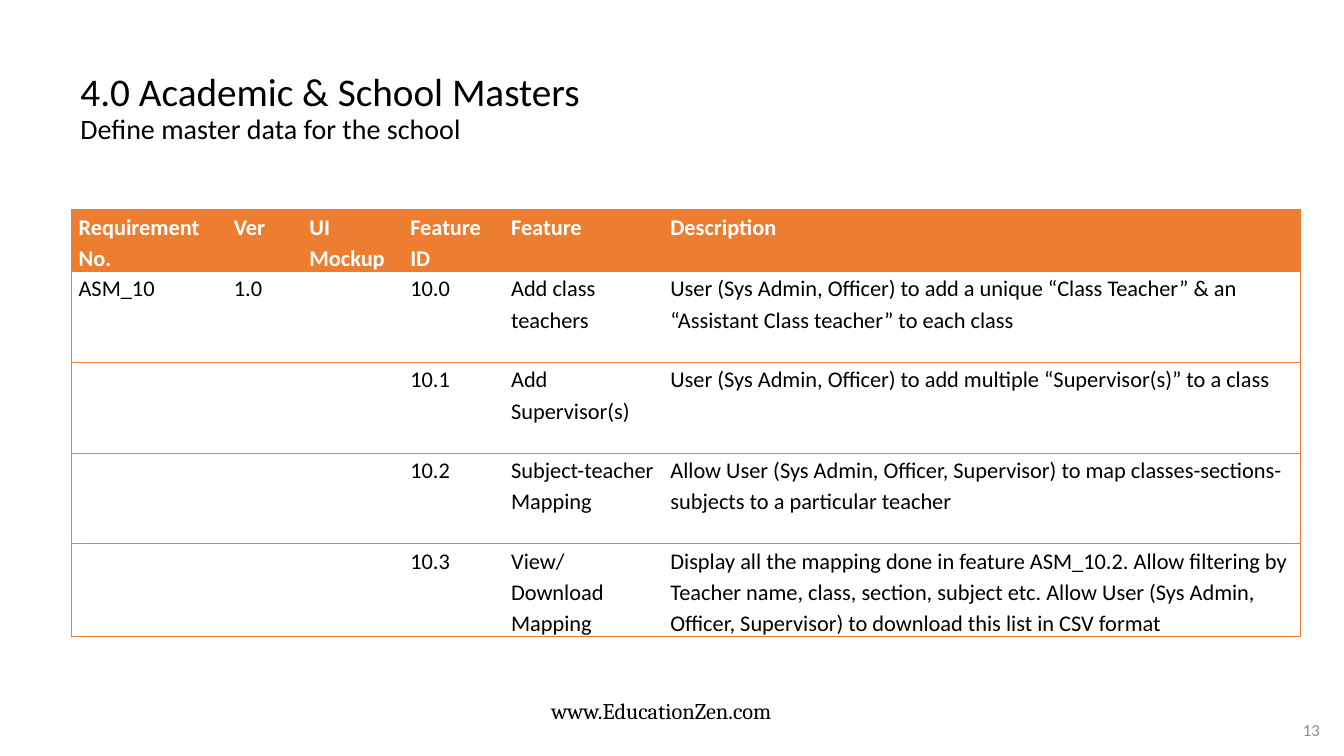
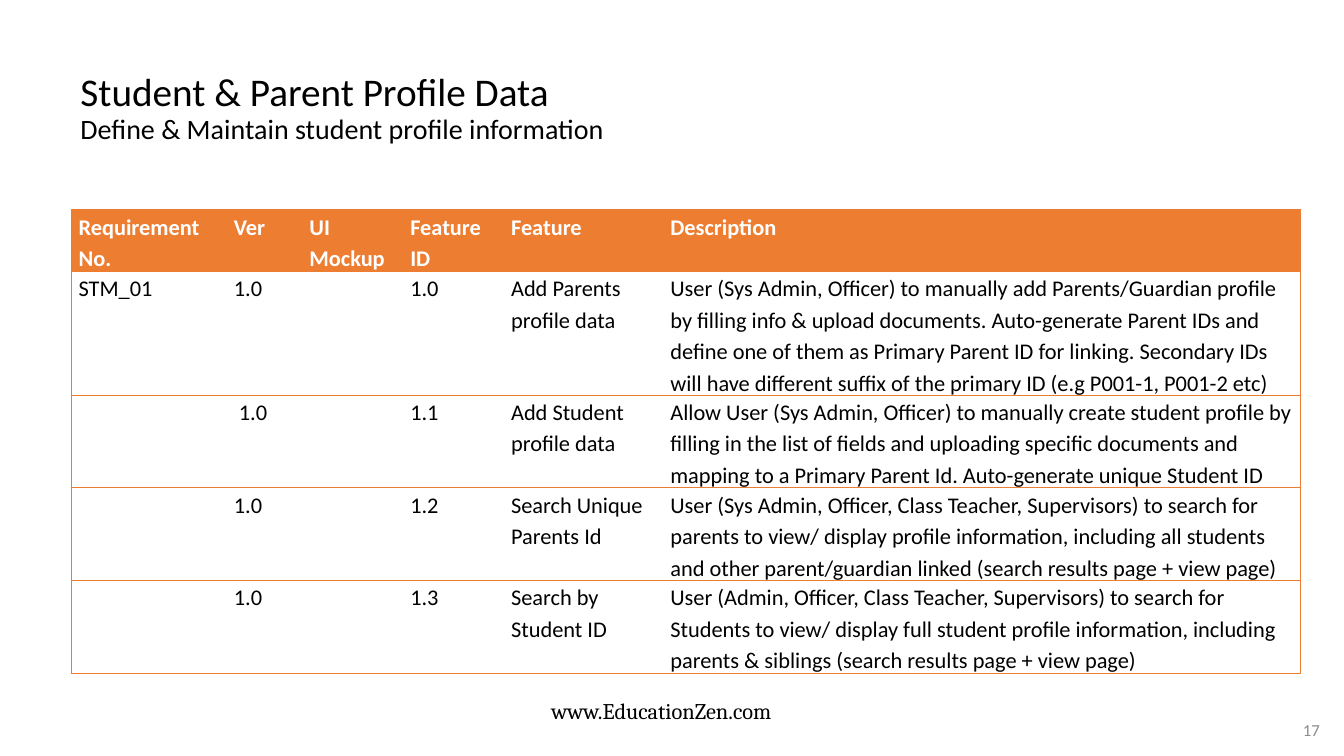
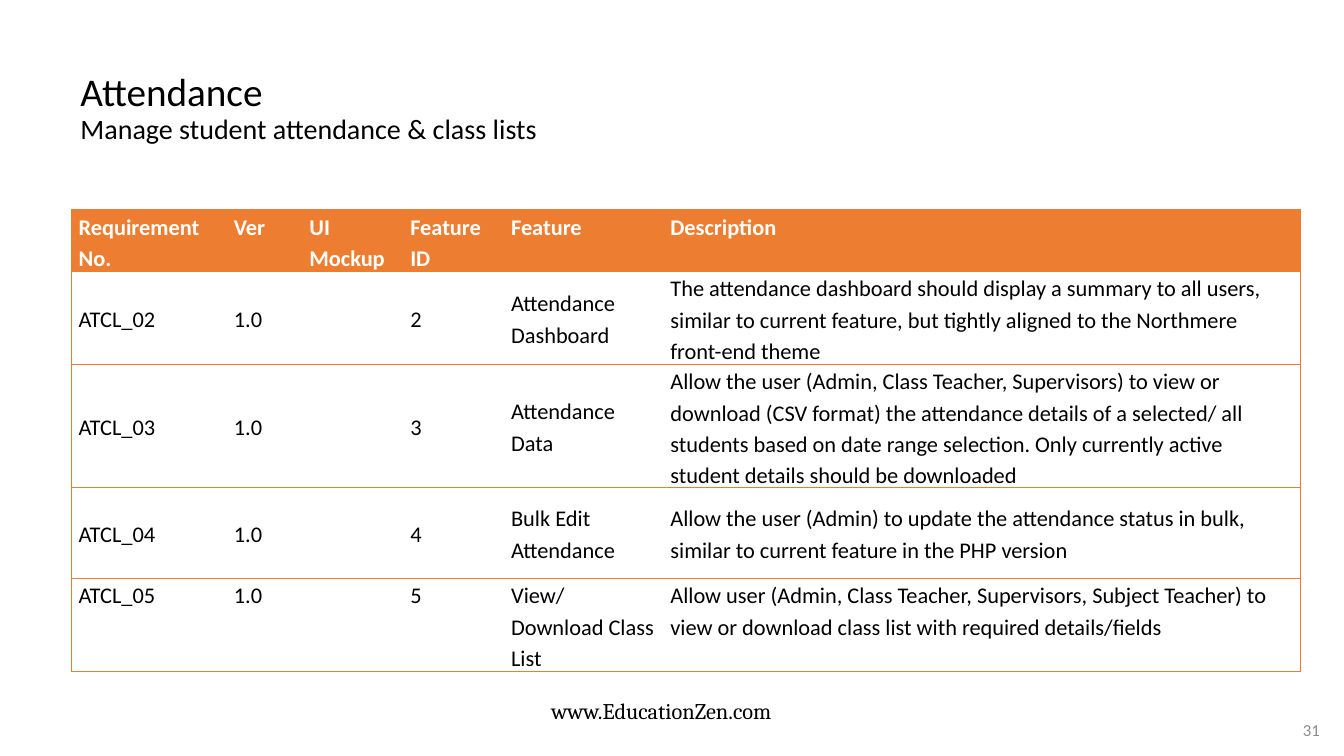
import pptx
import pptx.util
import pptx.dml.color
import pptx.enum.text
import pptx.oxml
import pptx.oxml.ns
import lxml.etree

Inches, Pt = pptx.util.Inches, pptx.util.Pt
Align, Anchor = pptx.enum.text.PP_ALIGN, pptx.enum.text.MSO_ANCHOR

theme = {
    "accent": "ED7D31",
    "rule": Pt(0.5),
    "title": {"name": "Calibri", "size": Pt(28), "color": "000000"},
    "subtitle": {"name": "Calibri", "size": Pt(20), "color": "000000"},
    "header": {"name": "Calibri", "size": Pt(16), "color": "FFFFFF", "bold": True},
    "body": {"name": "Calibri", "size": Pt(16), "color": "000000", "bold": False},
    "site": {"name": "Cambria", "size": Pt(16), "color": "000000"},
    "page": {"name": "Calibri", "size": Pt(12), "color": "8C8C8C"},
}

columns = {
    "Requirement No.": 1.54, "Ver": 0.75, "UI Mockup": 1,
    "Feature ID": 1, "Feature": 1.58, "Description": 6.32,
}
row_heights = [0.57] + [0.9] * 4
cell_format = {
    "margin_left": Inches(0.07), "margin_right": Inches(0.07),
    "margin_top": 0, "margin_bottom": 0,
}

sections = [
    {
        "title": "4.0 Academic & School Masters",
        "subtitle": "Define master data for the school",
        "page": "13",
        "middle_rows": 0,
        "rows": [
            ("ASM_10", "1.0", "", "10.0", "Add class teachers",
             "User (Sys Admin, Officer) to add a unique “Class Teacher” & an "
             "“Assistant Class teacher” to each class"),
            ("", "", "", "10.1", "Add Supervisor(s)",
             "User (Sys Admin, Officer) to add multiple “Supervisor(s)” to a class"),
            ("", "", "", "10.2", "Subject-teacher Mapping",
             "Allow User (Sys Admin, Officer, Supervisor) to map "
             "classes-sections-subjects to a particular teacher"),
            ("", "", "", "10.3", "View/Download Mapping",
             "Display all the mapping done in feature ASM_10.2. Allow filtering by "
             "Teacher name, class, section, subject etc. Allow User (Sys Admin, "
             "Officer, Supervisor) to download this list in CSV format"),
        ],
    },
    {
        "title": "Student & Parent Profile Data",
        "subtitle": "Define & Maintain student profile information",
        "page": "17",
        "middle_rows": 0,
        "rows": [
            ("STM_01", "1.0", "", "1.0", "Add Parents profile data",
             "User (Sys Admin, Officer) to manually add Parents/Guardian profile by "
             "filling info & upload documents. Auto-generate Parent IDs and define "
             "one of them as Primary Parent ID for linking. Secondary IDs will have "
             "different suffix of the primary ID (e.g P001-1, P001-2 etc)"),
            ("", " 1.0", "", "1.1", "Add Student profile data",
             "Allow User (Sys Admin, Officer) to manually create student profile by "
             "filling in the list of fields and uploading specific documents and "
             "mapping to a Primary Parent Id. Auto-generate unique Student ID"),
            ("", "1.0", "", "1.2", "Search Unique Parents Id",
             "User (Sys Admin, Officer, Class Teacher, Supervisors) to search for "
             "parents to view/ display profile information, including all students "
             "and other parent/guardian linked (search results page + view page)"),
            ("", "1.0", "", "1.3", "Search by Student ID",
             "User (Admin, Officer, Class Teacher, Supervisors) to search for "
             "Students to view/ display full student profile information, including "
             "parents & siblings (search results page + view page)"),
        ],
    },
    {
        "title": "Attendance",
        "subtitle": "Manage student attendance & class lists",
        "page": "31",
        "middle_rows": 3,
        "rows": [
            ("ATCL_02", "1.0", "", "2", "Attendance Dashboard",
             "The attendance dashboard should display a summary to all users, "
             "similar to current feature, but tightly aligned to the Northmere "
             "front-end theme"),
            ("ATCL_03", "1.0", "", "3", "Attendance Data",
             "Allow the user (Admin, Class Teacher, Supervisors) to view or download "
             "(CSV format) the attendance details of a selected/ all students based "
             "on date range selection. Only currently active student details should "
             "be downloaded"),
            ("ATCL_04", "1.0", "", "4", "Bulk Edit Attendance",
             "Allow the user (Admin) to update the attendance status in bulk, "
             "similar to current feature in the PHP version"),
            ("ATCL_05", "1.0", "", "5", "View/Download Class List",
             "Allow user (Admin, Class Teacher, Supervisors, Subject Teacher) to "
             "view or download class list with required details/fields"),
        ],
    },
]


def add_run(paragraph, text, style):
    run = paragraph.add_run()
    run.text = text
    for key, value in style.items():
        if key == "color":
            run.font.color.rgb = pptx.dml.color.RGBColor.from_string(value)
        else:
            setattr(run.font, key, value)


def add_border(cell, side, visible):
    line = lxml.etree.SubElement(
        cell._tc.get_or_add_tcPr(), pptx.oxml.ns.qn("a:ln" + side), w=str(theme["rule"]))
    if visible:
        fill = lxml.etree.SubElement(line, pptx.oxml.ns.qn("a:solidFill"))
        lxml.etree.SubElement(fill, pptx.oxml.ns.qn("a:srgbClr"), val=theme["accent"])
    else:
        lxml.etree.SubElement(line, pptx.oxml.ns.qn("a:noFill"))


deck = pptx.Presentation()
deck.slide_width, deck.slide_height = Inches(13.33), Inches(7.5)

for section in sections:
    slide = deck.slides.add_slide(deck.slide_layouts[6])

    # Site address and page number
    site = slide.shapes.add_textbox(Inches(4.75), Inches(6.87), Inches(3), Inches(0.37))
    site.text_frame.word_wrap = True
    site_line = site.text_frame.paragraphs[0]
    site_line.alignment = Align.RIGHT
    add_run(site_line, "www.EducationZen.com", theme["site"])

    page = slide.shapes.add_textbox(Inches(10.04), Inches(7.04), Inches(3.25), Inches(0.4))
    page.text_frame.word_wrap = True
    page.text_frame.vertical_anchor = Anchor.MIDDLE
    page_line = page.text_frame.paragraphs[0]
    page_line.alignment = Align.CENTER
    page_line._p.get_or_add_pPr().set("marL", str(Inches(2.68)))
    add_run(page_line, section["page"], theme["page"])

    # Title with subtitle
    heading = slide.shapes.add_textbox(Inches(0.7), Inches(0.42), Inches(10.96), Inches(1.33))
    heading.text_frame.word_wrap = True
    heading.text_frame.vertical_anchor = Anchor.MIDDLE
    heading_line = heading.text_frame.paragraphs[0]
    heading_line.line_spacing = 0.9
    add_run(heading_line, section["title"], theme["title"])
    heading_line.add_line_break()
    add_run(heading_line, section["subtitle"], theme["subtitle"])

    # Requirements table
    rows = [tuple(columns)] + section["rows"]
    requirements = slide.shapes.add_table(
        len(rows), len(columns), Inches(0.71), Inches(2.08),
        Inches(sum(columns.values())), Inches(sum(row_heights))).table
    requirements.horz_banding = False
    for column, width in zip(requirements.columns, columns.values()):
        column.width = Inches(width)
    for row, height in zip(requirements.rows, row_heights):
        row.height = Inches(height)

    for r, texts in enumerate(rows):
        for c, text in enumerate(texts):
            cell = requirements.cell(r, c)
            for key, value in cell_format.items():
                setattr(cell, key, value)
            if 1 <= r <= section["middle_rows"]:
                cell.vertical_anchor = Anchor.MIDDLE
            add_border(cell, "L", c == 0)
            add_border(cell, "R", c == len(columns) - 1)
            add_border(cell, "T", True)
            add_border(cell, "B", True)
            if r == 0:
                cell.fill.solid()
                cell.fill.fore_color.rgb = pptx.dml.color.RGBColor.from_string(theme["accent"])
            else:
                cell.fill.background()
            if text:
                cell_line = cell.text_frame.paragraphs[0]
                cell_line.line_spacing = 1.15
                add_run(cell_line, text, theme["body" if r else "header"])

deck.save("out.pptx")
